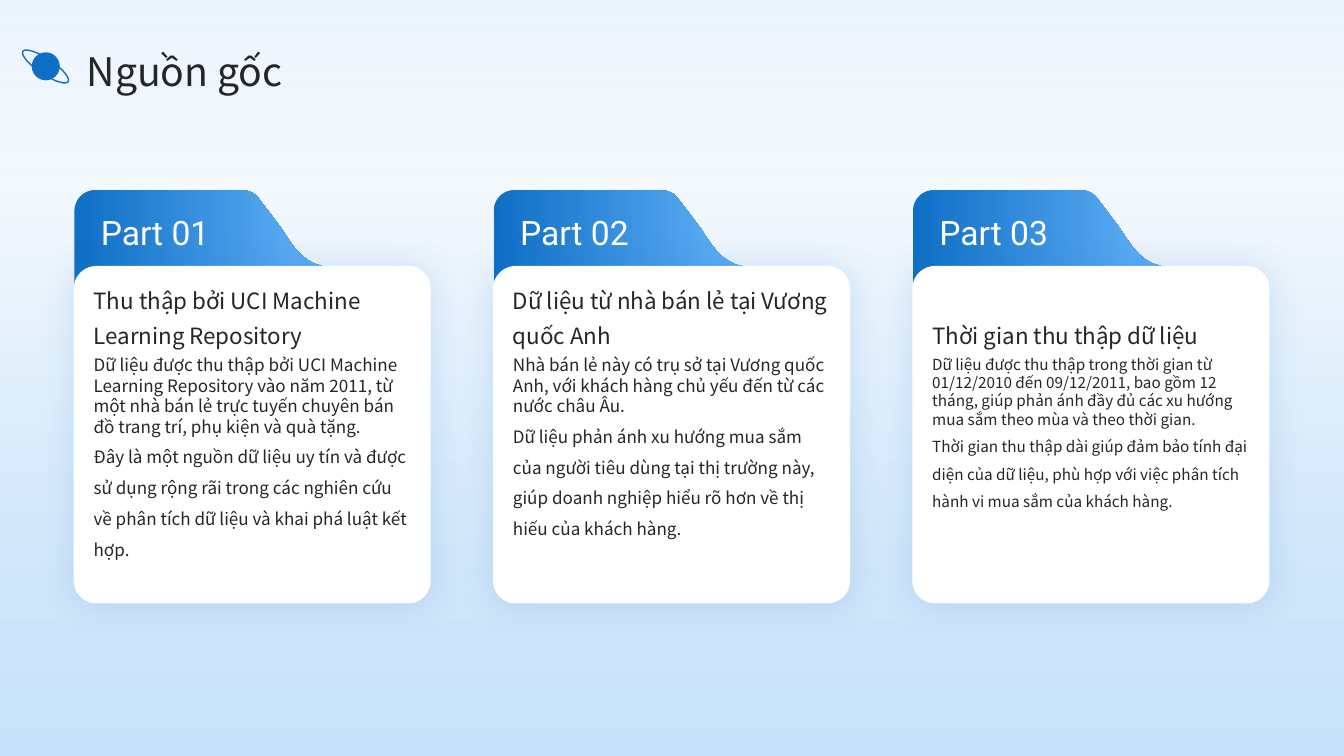
from lxml.etree import SubElement
from pptx import Presentation
from pptx.dml.color import RGBColor
from pptx.enum.shapes import MSO_SHAPE as Shape
from pptx.enum.text import MSO_ANCHOR as Anchor
from pptx.oxml.ns import qn
from pptx.util import Pt

SANS = "Noto Sans CJK SC"
BLUE = "0F6FC6"
DARK = "262626"
WHITE = "FFFFFF"
CARD_LEFT, CARD_TOP, CARD_PITCH = 52.7, 190, 299.5
TAB_TOP = 136

CARDS = [
    ("Part 01", "Thu thập bởi UCI Machine Learning Repository", 12.2, (
        "Dữ liệu được thu thập bởi UCI Machine Learning Repository vào năm 2011, "
        "từ một nhà bán lẻ trực tuyến chuyên bán đồ trang trí, phụ kiện và quà tặng.",
        "Đây là một nguồn dữ liệu uy tín và được sử dụng rộng rãi trong các nghiên cứu "
        "về phân tích dữ liệu và khai phá luật kết hợp.")),
    ("Part 02", "Dữ liệu từ nhà bán lẻ tại Vương quốc Anh", 12.2, (
        "Nhà bán lẻ này có trụ sở tại Vương quốc Anh, với khách hàng chủ yếu đến từ "
        "các nước châu Âu.",
        "Dữ liệu phản ánh xu hướng mua sắm của người tiêu dùng tại thị trường này, "
        "giúp doanh nghiệp hiểu rõ hơn về thị hiếu của khách hàng.")),
    ("Part 03", "Thời gian thu thập dữ liệu", 10.9, (
        "Dữ liệu được thu thập trong thời gian từ 01/12/2010 đến 09/12/2011, bao gồm "
        "12 tháng, giúp phản ánh đầy đủ các xu hướng mua sắm theo mùa và theo thời gian.",
        "Thời gian thu thập dài giúp đảm bảo tính đại diện của dữ liệu, phù hợp với "
        "việc phân tích hành vi mua sắm của khách hàng.")),
]


def color(hex_value):
    return RGBColor.from_string(hex_value)


def add_color(parent, hex_value, alpha=100):
    node = SubElement(parent, qn("a:srgbClr"), val=hex_value)
    if alpha < 100:
        SubElement(node, qn("a:alpha"), val=str(alpha * 1000))


def set_gradient(fill, element, stops, angle):
    fill.gradient()
    gradient = next(element.iter(qn("a:gradFill")))
    for child in list(gradient):
        gradient.remove(child)
    stop_list = SubElement(gradient, qn("a:gsLst"))
    for position, hex_value, alpha in stops:
        stop = SubElement(stop_list, qn("a:gs"), pos=str(position * 1000))
        add_color(stop, hex_value, alpha)
    SubElement(gradient, qn("a:lin"), ang=str(angle * 60000), scaled="0")


def add_shape(shapes, kind, left, top, width, height, fill=None, line=None):
    shape = shapes.add_shape(kind, Pt(left), Pt(top), Pt(width), Pt(height))
    shape.shadow.inherit = False
    if fill:
        shape.fill.solid()
        shape.fill.fore_color.rgb = color(fill)
    else:
        shape.fill.background()
    if line:
        shape.line.color.rgb = color(line)
        shape.line.width = Pt(1)
    else:
        shape.line.fill.background()
    return shape


def add_text(slide, paragraphs, left, top, width, height, *, size, spacings,
             font=SANS, hex_value=DARK, anchor=Anchor.MIDDLE):
    box = slide.shapes.add_textbox(Pt(left), Pt(top), Pt(width), Pt(height))
    frame = box.text_frame
    frame.word_wrap = True
    frame.vertical_anchor = anchor
    frame.margin_left = frame.margin_right = frame.margin_top = frame.margin_bottom = 0
    frame.text = "\n".join(paragraphs)
    for paragraph, spacing in zip(frame.paragraphs, spacings):
        paragraph.line_spacing = spacing
        paragraph.font.size = Pt(size)
        paragraph.font.name = font
        paragraph.font.color.rgb = color(hex_value)


def curve(start, first, second, end, steps=12):
    points = []
    for step in range(1, steps + 1):
        t = step / steps
        weights = ((1 - t) ** 3, 3 * t * (1 - t) ** 2, 3 * t * t * (1 - t), t ** 3)
        points.append(tuple(sum(w * c for w, c in zip(weights, axis))
                            for axis in zip(start, first, second, end)))
    return points


def add_tab(slide, left, top):
    outline = [(177, 54), (0, 80), (0, 14.5),
               *curve((0, 14.5), (0, 6.5), (6.5, 0), (14.5, 0)), (120, 0),
               *curve((120, 0), (124.5, 0), (129, 2), (131.8, 6)), (147, 26),
               *curve((147, 26), (154, 36), (161.3, 51), (177, 54))]
    points = [(Pt(left + x), Pt(top + y)) for x, y in outline]
    builder = slide.shapes.build_freeform(*points[0], scale=1.0)
    builder.add_line_segments(points[1:], close=True)
    tab = builder.convert_to_shape()
    tab.shadow.inherit = False
    tab.line.fill.background()
    set_gradient(tab.fill, tab.element, [(0, BLUE, 100), (90, "59AAF2", 100)], 0)


def add_glow(shape):
    effects = shape.element.spPr.find(qn("a:effectLst"))
    shadow = SubElement(effects, qn("a:outerShdw"), blurRad=str(Pt(25)), dist="0",
                        dir="5400000", algn="ctr", rotWithShape="0")
    add_color(shadow, BLUE, 15)


def add_card(slide, left, label, heading, size, body):
    add_tab(slide, left + 0.5, TAB_TOP)
    panel = add_shape(slide.shapes, Shape.ROUNDED_RECTANGLE, left, CARD_TOP, 255, 241, WHITE)
    panel.adjustments[0] = 0.067
    add_glow(panel)
    add_text(slide, [label], left + 19.3, 150.5, 111.5, 28, size=24, spacings=[1.1],
             font="Roboto", hex_value=WHITE)
    add_text(slide, [heading], left + 14.2, 197.3, 227, 52, size=16, spacings=[1.3],
             anchor=Anchor.BOTTOM)
    add_text(slide, body, left + 14.2, 253.4, 227, 156, size=size, spacings=[1.0, 1.5],
             anchor=Anchor.TOP)


def add_backdrop(slide, width, height):
    set_gradient(slide.background.fill, slide.element,
                 [(0, "77C2E8", 100), (0, "ACD4F9", 100), (25, WHITE, 0),
                  (100, "83BFF6", 100)], 90)
    veil = add_shape(slide.shapes, Shape.RECTANGLE, 0, 0, width, height)
    set_gradient(veil.fill, veil.element, [(0, WHITE, 77), (100, "C8E3FB", 100)], 90)


def add_planet(slide):
    planet = slide.shapes.add_group_shape()
    add_shape(planet.shapes, Shape.OVAL, 22.7, 37.4, 20, 20, fill=BLUE)
    ring = add_shape(planet.shapes, Shape.OVAL, 13, 42, 39, 11, line=BLUE)
    ring.rotation = 33.8


def main():
    presentation = Presentation()
    presentation.slide_width, presentation.slide_height = Pt(960), Pt(540)
    slide = presentation.slides.add_slide(presentation.slide_layouts[6])
    add_backdrop(slide, 960, 540)
    for index, card in enumerate(CARDS):
        add_card(slide, CARD_LEFT + index * CARD_PITCH, *card)
    add_text(slide, ["Nguồn gốc"], 62, 30.5, 840, 36.5, size=28, spacings=[1.1])
    add_planet(slide)
    presentation.save("out.pptx")


if __name__ == "__main__":
    main()
